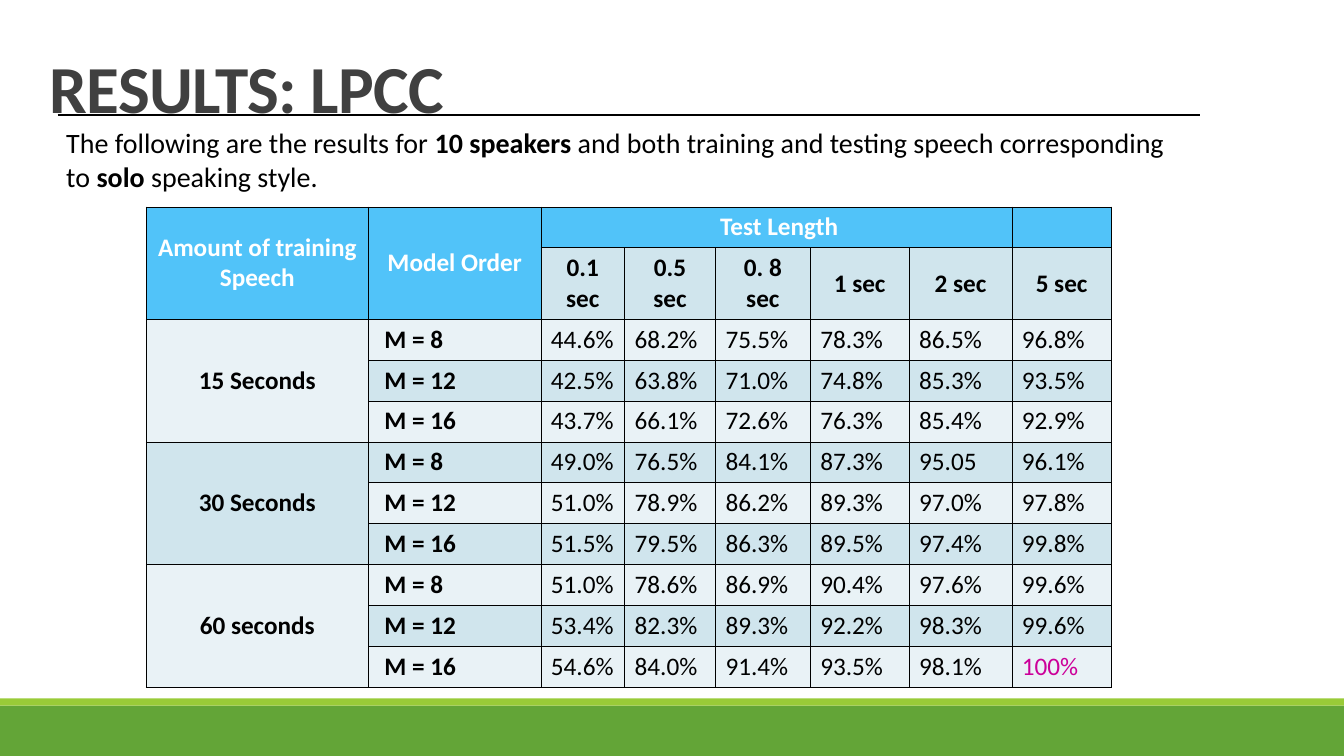
from dataclasses import dataclass

from lxml.etree import SubElement
from pptx import Presentation
from pptx.dml.color import RGBColor as RGB
from pptx.enum.shapes import MSO_CONNECTOR as Link, MSO_SHAPE as Shape
from pptx.enum.text import MSO_ANCHOR as Anchor, MSO_AUTO_SIZE as Fit, PP_ALIGN as Align
from pptx.oxml.ns import qn
from pptx.util import Cm, Pt


@dataclass(frozen=True)
class Theme:
    font: str = "Calibri"
    title: float = 48
    body: float = 20
    cell: float = 18
    ink: str = "000000"
    gray: str = "404040"
    white: str = "FFFFFF"
    pink: str = "CC0099"
    blue: str = "51C3F9"
    mid: str = "D0E5ED"
    pale: str = "E9F2F6"
    green: str = "63A537"
    lime: str = "99CB38"


@dataclass(frozen=True)
class Bar:
    top: float
    height: float
    color: str


@dataclass(frozen=True)
class Group:
    label: str
    rows: tuple[str, ...]


THEME = Theme()
WIDTH, HEIGHT = 33.87, 19.05
BARS = (Bar(17.78, 1.27, THEME.green), Bar(17.6, 0.18, THEME.lime))
INTRO = (
    ("The following are the results for ", False),
    ("10 speakers ", True),
    ("and both training and testing speech corresponding to ", False),
    ("solo", True),
    (" speaking style.", False),
)
COLS = (5.61, 4.34, 2.11, 2.29, 2.39, 2.49, 2.59, 2.51)
ROW, TALL = 1.03, 1.8
TIMES = ("0.1 sec", "0.5 sec", "0. 8 sec", "1 sec", "2 sec", "5 sec")
ORDERS = (" M = 8", " M = 12", " M = 16")
GROUPS = (
    Group("15 Seconds", (
        "44.6% 68.2% 75.5% 78.3% 86.5% 96.8%",
        "42.5% 63.8% 71.0% 74.8% 85.3% 93.5%",
        "43.7% 66.1% 72.6% 76.3% 85.4% 92.9%")),
    Group("30 Seconds", (
        "49.0% 76.5% 84.1% 87.3% 95.05 96.1%",
        "51.0% 78.9% 86.2% 89.3% 97.0% 97.8%",
        "51.5% 79.5% 86.3% 89.5% 97.4% 99.8%")),
    Group("60 seconds", (
        "51.0% 78.6% 86.9% 90.4% 97.6% 99.6%",
        "53.4% 82.3% 89.3% 92.2% 98.3% 99.6%",
        "54.6% 84.0% 91.4% 93.5% 98.1% 100%")),
)


def style(para, size: float, color: str, bold: bool = False) -> None:
    font = para.font
    font.name, font.size, font.bold = THEME.font, Pt(size), bold
    font.color.rgb = RGB.from_string(color)


def add_bar(slide, bar: Bar) -> None:
    box = slide.shapes.add_shape(
        Shape.RECTANGLE, 0, Cm(bar.top), Cm(WIDTH), Cm(bar.height))
    box.shadow.inherit = False
    box.fill.solid()
    box.fill.fore_color.rgb = RGB.from_string(bar.color)
    box.line.fill.background()


def add_title(slide, text: str) -> None:
    box = slide.shapes.title
    box.left, box.top, box.width, box.height = Cm(1), Cm(1.04), Cm(10.64), Cm(3.18)
    frame = box.text_frame
    frame.text = text
    frame.auto_size, frame.word_wrap = Fit.NONE, False
    frame.vertical_anchor = Anchor.TOP
    para = frame.paragraphs[0]
    para.alignment = Align.LEFT
    style(para, THEME.title, THEME.gray, True)
    para.runs[0]._r.get_or_add_rPr().set("spc", "-50")


def add_intro(slide) -> None:
    box = slide.shapes.add_textbox(Cm(1.42), Cm(3.05), Cm(28.63), Cm(2.74))
    box.text_frame.word_wrap = True
    para = box.text_frame.paragraphs[0]
    style(para, THEME.body, THEME.ink)
    for text, bold in INTRO:
        run = para.add_run()
        run.text = text
        run.font.bold = bold


def add_rule(slide) -> None:
    rule = slide.shapes.add_connector(
        Link.STRAIGHT, Cm(1.45), Cm(2.9), Cm(30.25), Cm(2.9))
    rule.line.color.rgb = RGB.from_string(THEME.ink)
    rule.line.width = Pt(1.25)
    SubElement(rule._element.spPr, qn("a:effectLst"))


def frame_cell(cell) -> None:
    props = cell._tc.get_or_add_tcPr()
    for side in ("lnL", "lnR", "lnT", "lnB"):
        edge = SubElement(props, qn(f"a:{side}"), w=str(Pt(0.25)))
        fill = SubElement(edge, qn("a:solidFill"))
        SubElement(fill, qn("a:srgbClr"), val=THEME.ink)


def put(cell, text: str, fill: str, color: str = THEME.ink,
        bold: bool = True, align: Align = Align.CENTER) -> None:
    cell.text = text
    cell.vertical_anchor = Anchor.MIDDLE
    cell.fill.solid()
    cell.fill.fore_color.rgb = RGB.from_string(fill)
    para = cell.text_frame.paragraphs[0]
    para.alignment = align
    style(para, THEME.cell, color, bold)


def add_grid(slide) -> None:
    heights = (ROW, TALL) + (ROW,) * (len(GROUPS) * len(ORDERS))
    grid = slide.shapes.add_table(
        len(heights), len(COLS), Cm(3.68), Cm(5.21),
        Cm(sum(COLS)), Cm(sum(heights))).table
    grid.first_row = grid.horz_banding = False
    for col, width in zip(grid.columns, COLS):
        col.width = Cm(width)
    for row, height in zip(grid.rows, heights):
        row.height = Cm(height)
    for cell in grid.iter_cells():
        frame_cell(cell)

    # Header rows
    grid.cell(0, 0).merge(grid.cell(1, 0))
    grid.cell(0, 1).merge(grid.cell(1, 1))
    grid.cell(0, 2).merge(grid.cell(0, 6))
    heads = {0: "Amount of training Speech", 1: "Model Order", 2: " Test Length", 7: ""}
    for col, text in heads.items():
        put(grid.cell(0, col), text, THEME.blue, THEME.white)
    for col, text in enumerate(TIMES, 2):
        put(grid.cell(1, col), text, THEME.mid)

    # Result rows, with alternating fills
    tones = (THEME.pale, THEME.mid)
    span = len(ORDERS)
    for block, group in enumerate(GROUPS):
        top = 2 + block * span
        grid.cell(top, 0).merge(grid.cell(top + span - 1, 0))
        put(grid.cell(top, 0), group.label, tones[top % 2])
        for row, (order, line) in enumerate(zip(ORDERS, group.rows), top):
            tone = tones[row % 2]
            put(grid.cell(row, 1), order, tone, align=Align.LEFT)
            for col, value in enumerate(line.split(), 2):
                color = THEME.pink if value == "100%" else THEME.ink
                put(grid.cell(row, col), value, tone, color, False, Align.LEFT)


def main() -> None:
    deck = Presentation()
    deck.slide_width, deck.slide_height = Cm(WIDTH), Cm(HEIGHT)
    slide = deck.slides.add_slide(deck.slide_layouts[5])
    for bar in BARS:
        add_bar(slide, bar)
    add_title(slide, "RESULTS: LPCC")
    add_intro(slide)
    add_rule(slide)
    add_grid(slide)
    deck.save("out.pptx")


if __name__ == "__main__":
    main()
